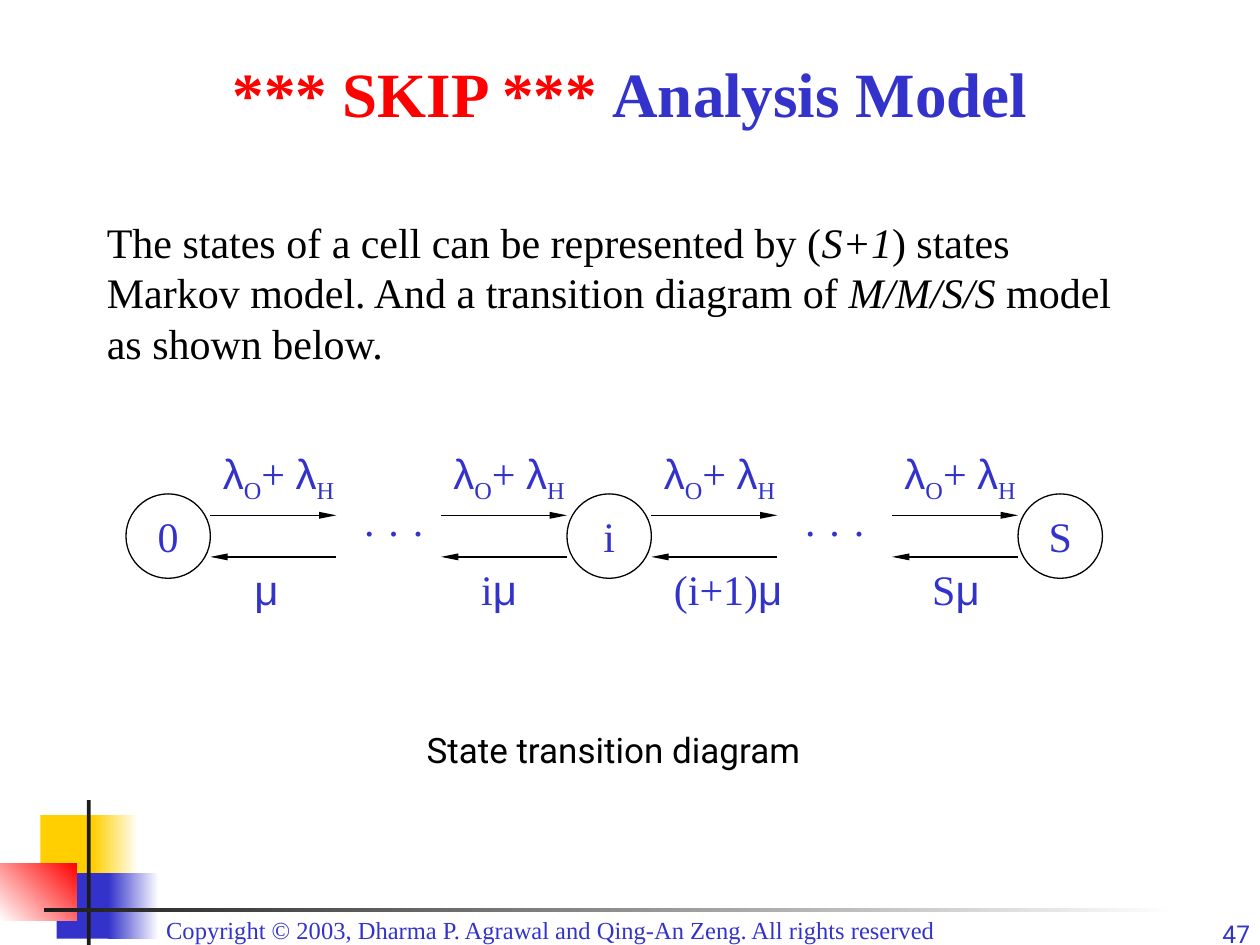
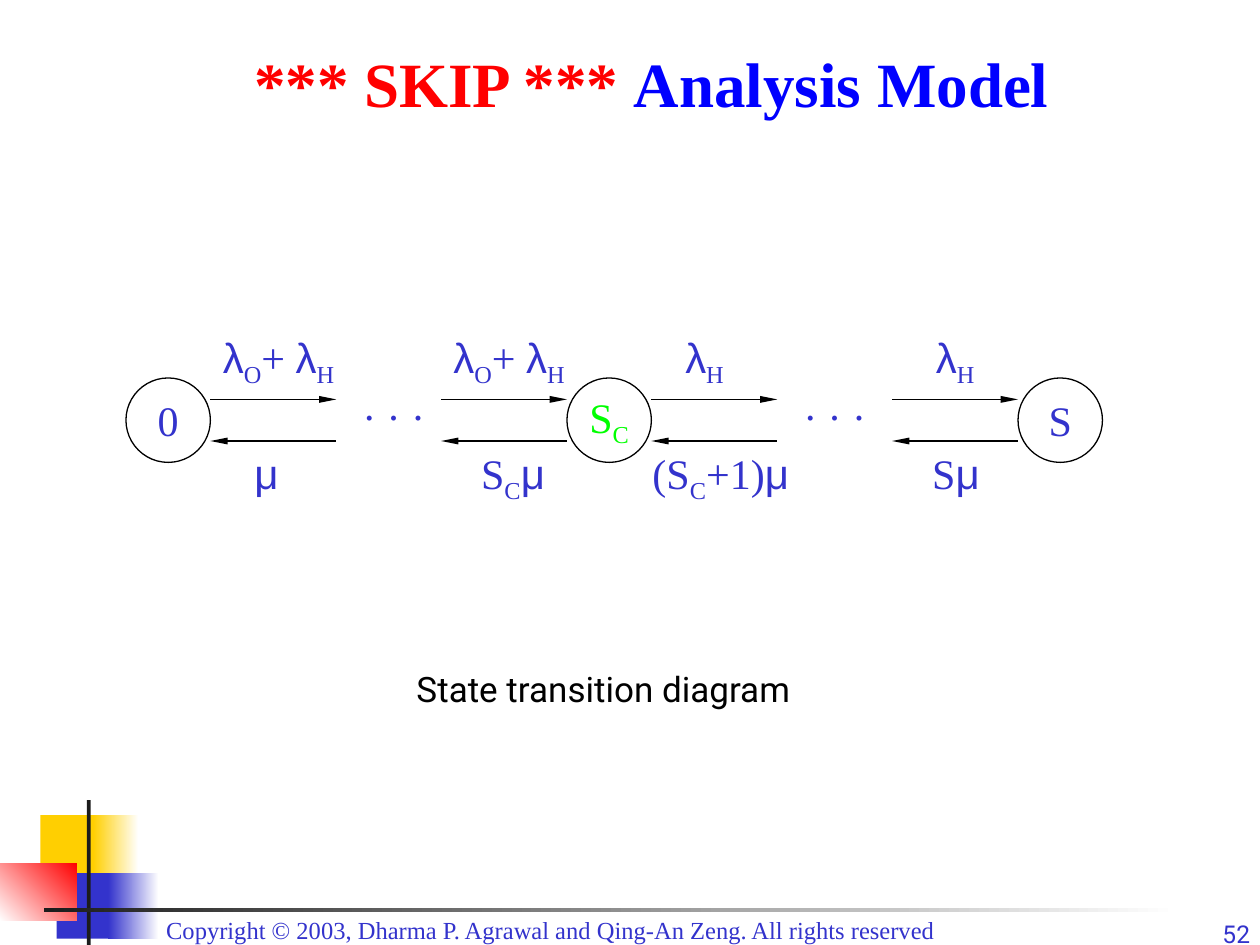
from dataclasses import dataclass

from lxml.etree import SubElement
from pptx import Presentation
from pptx.dml.color import RGBColor
from pptx.enum.shapes import MSO_CONNECTOR, MSO_SHAPE
from pptx.enum.text import MSO_ANCHOR, PP_ALIGN
from pptx.oxml.ns import qn
from pptx.util import Inches, Pt


@dataclass(frozen=True)
class Theme:
    # Colours
    blue: str = "3333CC"
    bright_blue: str = "0000FF"
    red: str = "FF0000"
    green: str = "00FF00"
    yellow: str = "FFCF01"
    dark: str = "1C1C1C"
    black: str = "000000"
    white: str = "FFFFFF"
    # Fonts
    serif: str = "Times New Roman"
    sans: str = "Roboto"
    greek: str = "Arial"
    # Type sizes and line width
    title: int = 36
    body: int = 24
    caption: int = 20
    footer: int = 14
    line: float = 0.75


T = Theme()
COPYRIGHT = "Copyright © 2003, Dharma P. Agrawal and Qing-An Zeng. All rights reserved"

# Corner ornament: left, top, width, height, colours, gradient angle
ORNAMENT = [
    (0.32, 6.47, 0.48, 0.52, [T.yellow], 0),
    (0.74, 6.47, 0.36, 0.52, [T.white, T.yellow], 180),
    (0.45, 6.93, 0.46, 0.52, [T.blue], 0),
    (0.86, 6.93, 0.40, 0.52, [T.white, T.blue], 180),
    (0, 6.85, 0.61, 0.46, [T.red, T.white], 225),
    (0.69, 6.35, 0.03, 1.15, [T.dark], 0),
    (0.35, 7.21, 9, 0.03, [T.white, T.dark], 180),
]

# State diagram geometry
STATE_X = [1, 4.5, 8.08]
STATE_SIZE = 0.67
ARROW_LENGTH = 1
ARROW_X = [STATE_X[0] + STATE_SIZE, STATE_X[1] - ARROW_LENGTH,
           STATE_X[1] + STATE_SIZE, STATE_X[2] - ARROW_LENGTH]

# Formula parts: text and run format
SUB = {"sub": True}
LAMBDA = ("λ", {"font": T.greek})
MU = ("μ", {"font": T.greek})
RATE_H = [LAMBDA, ("H", SUB)]
RATE_OH = [LAMBDA, ("O", SUB), ("+ ", {}), *RATE_H]


def add_run(p, text, font=T.serif, size=T.body, color=T.blue,
            bold=False, italic=False, sub=False):
    r = p.add_run()
    r.text = text
    r.font.name = font
    r.font.size = Pt(size)
    r.font.bold = bold
    r.font.italic = italic
    r.font.color.rgb = RGBColor.from_string(color)
    if sub:
        r.font._element.set("baseline", "-25000")


class Deck:
    def __init__(self, theme):
        self.theme = theme
        self.prs = Presentation()
        self.prs.slide_width = Inches(10)
        self.prs.slide_height = Inches(7.5)
        self.s = None

    def new_slide(self, number, title_at, title_color):
        self.s = self.prs.slides.add_slide(self.prs.slide_layouts[5])
        for x, y, w, h, colors, angle in ORNAMENT:
            self.block(x, y, w, h, colors, angle)
        t = self.theme
        self.text(1.22, 7.21, 7.58, 0.34, [(COPYRIGHT, {})], size=t.footer)
        self.text(9.22, 7.29, 0.8, 0.27, [(number, {})], align=PP_ALIGN.RIGHT,
                  inset_y=0, size=t.footer, font=t.sans)
        self.title(*title_at, title_color)

    def title(self, x, y, color):
        sp = self.s.shapes.title
        sp.left, sp.top = Inches(x), Inches(y)
        sp.width, sp.height = Inches(8.5), Inches(0.75)
        parts = [("*** SKIP *** ", {"color": self.theme.red}),
                 ("Analysis Model", {"color": color})]
        sp.text_frame.vertical_anchor = MSO_ANCHOR.BOTTOM
        self.fill_text(sp.text_frame, parts, PP_ALIGN.CENTER,
                       size=self.theme.title, bold=True)

    def fill_text(self, tf, parts, align, **fmt):
        p = tf.paragraphs[0]
        p.alignment = align
        for text, extra in parts:
            add_run(p, text, **{**fmt, **extra})

    def text(self, x, y, w, h, parts, align=PP_ALIGN.LEFT, wrap=True,
             inset_y=0.05, **fmt):
        sp = self.s.shapes.add_textbox(Inches(x), Inches(y), Inches(w), Inches(h))
        tf = sp.text_frame
        tf.word_wrap = wrap
        tf.margin_top = tf.margin_bottom = Inches(inset_y)
        self.fill_text(tf, parts, align, **fmt)

    def block(self, x, y, w, h, colors, angle):
        sp = self.s.shapes.add_shape(MSO_SHAPE.RECTANGLE, Inches(x), Inches(y),
                                     Inches(w), Inches(h))
        sp.shadow.inherit = False
        sp.line.fill.background()
        if len(colors) == 1:
            sp.fill.solid()
            sp.fill.fore_color.rgb = RGBColor.from_string(colors[0])
            return
        sp.fill.gradient()
        sp.fill.gradient_angle = angle
        for stop, color in zip(sp.fill.gradient_stops, colors):
            stop.color.rgb = RGBColor.from_string(color)

    def outline(self, line):
        line.color.rgb = RGBColor.from_string(self.theme.black)
        line.width = Pt(self.theme.line)

    def state(self, x, y, parts):
        size = Inches(STATE_SIZE)
        sp = self.s.shapes.add_shape(MSO_SHAPE.OVAL, Inches(x), Inches(y), size, size)
        sp.shadow.inherit = False
        sp.fill.background()
        self.outline(sp.line)
        tf = sp.text_frame
        tf.word_wrap = False
        tf.margin_left = tf.margin_right = tf.margin_top = tf.margin_bottom = 0
        tf.vertical_anchor = MSO_ANCHOR.MIDDLE
        self.fill_text(tf, parts, PP_ALIGN.CENTER)

    def arrow(self, x, y, end):
        cx = self.s.shapes.add_connector(
            MSO_CONNECTOR.STRAIGHT, Inches(x), Inches(y),
            Inches(x + ARROW_LENGTH), Inches(y))
        self.outline(cx.line)
        SubElement(cx.line._get_or_add_ln(), qn(f"a:{end}"),
                   type="triangle", w="sm", len="lg")
        SubElement(cx._element.spPr, qn("a:effectLst"))

    def state_diagram(self, y, states, arrivals, departures):
        """Each label is a pair: offset from its arrow's start, and its parts."""
        for x, parts in zip(STATE_X, states):
            self.state(x, y, parts)
        for x in STATE_X[:2]:
            self.text(x + STATE_SIZE + 1.08, y + 0.05, 0.75, 0.5, [("· · ·", {})],
                      align=PP_ALIGN.CENTER, wrap=False)
        for x, (up_dx, up), (down_dx, down) in zip(ARROW_X, arrivals, departures):
            self.arrow(x, y + 0.17, "tailEnd")
            self.text(x + up_dx, y - 0.42, 1.25, 0.56, up)
            self.arrow(x, y + 0.5, "headEnd")
            self.text(x + down_dx, y + 0.5, 1.42, 0.56, down)

    def caption(self, x, y):
        t = self.theme
        self.text(x, y, 6.58, 0.44, [("State transition diagram", {})],
                  align=PP_ALIGN.CENTER, font=t.sans, size=t.caption, color=t.black)


def main():
    deck = Deck(T)

    # Slide 47: general M/M/S/S model
    deck.new_slide("47", (0.75, 0.33), T.blue)
    italic = {"italic": True}
    deck.text(0.75, 1.67, 8.5, 1.5, [
        ("The states of a cell can be represented by (", {}),
        ("S+1", italic),
        (") states Markov model. And a transition diagram of ", {}),
        ("M/M/S/S", italic),
        (" model as shown below.", {}),
    ], color=T.black)
    deck.state_diagram(
        3.92,
        states=[[("0", {})], [("i", {})], [("S", {})]],
        arrivals=[(0, RATE_OH)] * 4,
        departures=[(0.25, [MU]), (0.22, [("i", {}), MU]),
                    (0.08, [("(i+1)", {}), MU]), (0.22, [("S", {}), MU])])
    deck.caption(1.58, 5.73)

    # Slide 52: only handoff arrivals beyond state S_C
    deck.new_slide("52", (0.92, 0.25), T.bright_blue)
    green = {"color": T.green}
    deck.state_diagram(
        3,
        states=[[("0", {})], [("S", green), ("C", {**green, **SUB})], [("S", {})]],
        arrivals=[(0, RATE_OH), (0, RATE_OH), (0.17, RATE_H), (0.25, RATE_H)],
        departures=[(0.25, [MU]), (0.22, [("S", {}), ("C", SUB), MU]),
                    (-0.09, [("(S", {}), ("C", SUB), ("+1)", {}), MU]),
                    (0.22, [("S", {}), MU])])
    deck.caption(1.5, 5.25)

    deck.prs.save("out.pptx")


if __name__ == "__main__":
    main()
